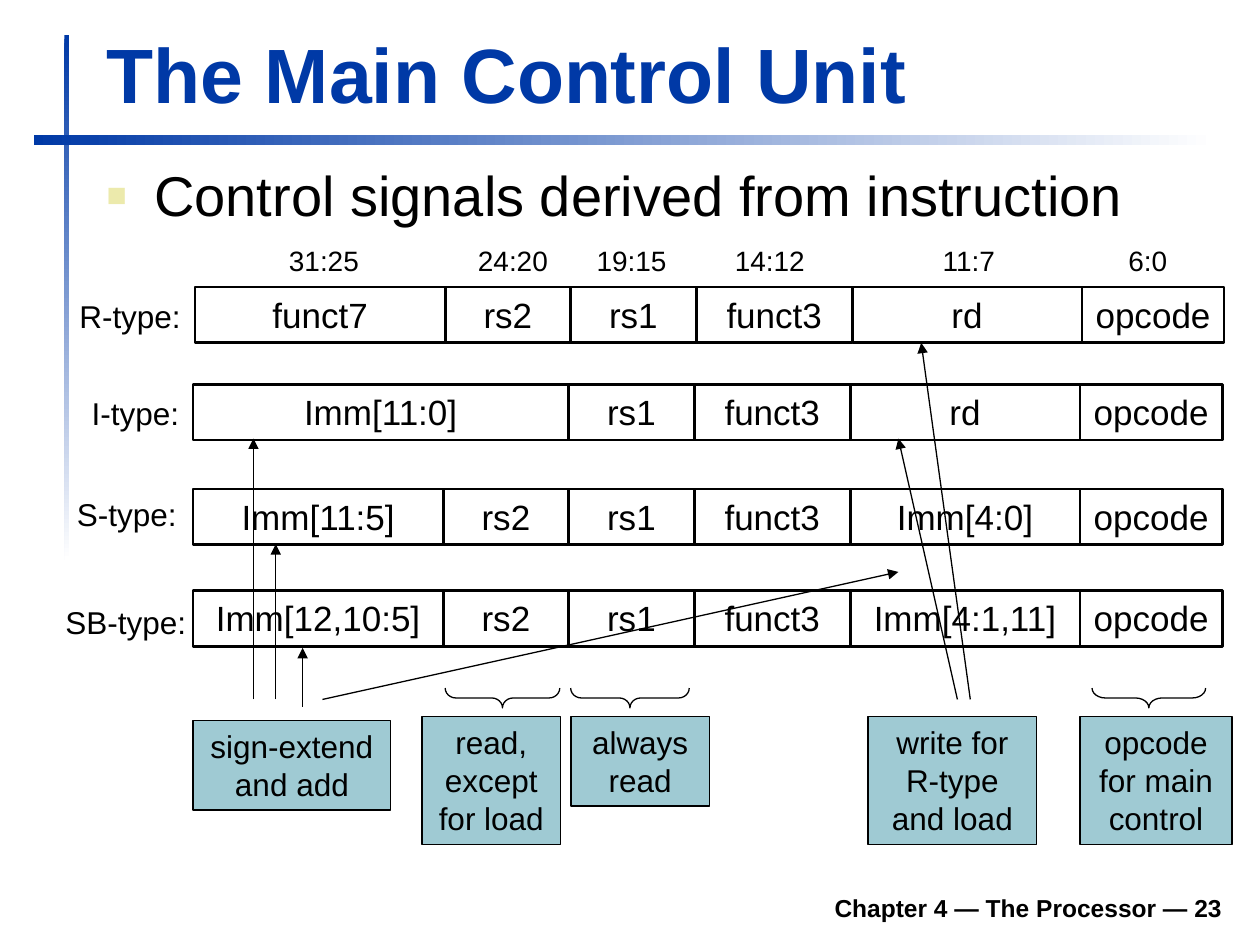
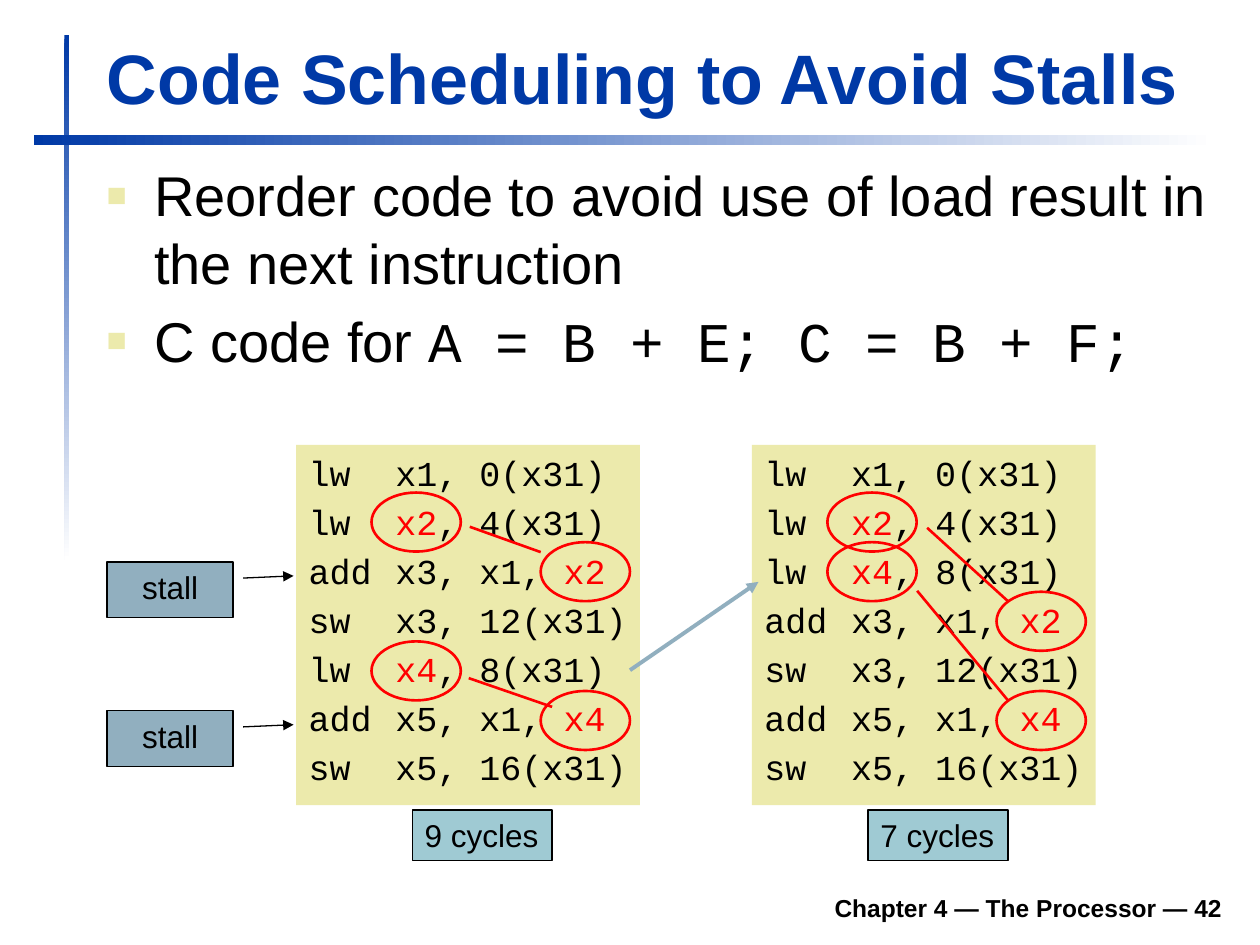
"""Build two lecture slides on processor control and code scheduling."""
from lxml.etree import SubElement
from pptx import Presentation
from pptx.dml.color import RGBColor
from pptx.enum.shapes import MSO_CONNECTOR, MSO_SHAPE
from pptx.enum.text import MSO_ANCHOR as Anchor, MSO_AUTO_SIZE, PP_ALIGN as Align
from pptx.oxml.ns import qn
from pptx.util import Cm, Pt

BLUE, BLACK, WHITE, RED = "0039A6", "000000", "FFFFFF", "FF0000"
SAND, TEAL, STEEL = "ECEAAC", "9FCAD3", "91AFBF"
rgb = RGBColor.from_string
arrowed = []


def add_box(slide, kind, at, paragraphs=(), fill=None, line=None, width=0.75,
            size=18, align=Align.CENTER, gap=0, accent=None, **frame_format):
    """Add a shape, or a text box if kind is None; *...* marks accented runs."""
    lengths = [Cm(value) for value in at]
    if kind is None:
        shape = slide.shapes.add_textbox(*lengths)
    else:
        shape = slide.shapes.add_shape(kind, *lengths)
        shape.shadow.inherit = False
    if fill:
        shape.fill.solid()
        shape.fill.fore_color.rgb = rgb(fill)
    else:
        shape.fill.background()
    if line:
        shape.line.color.rgb = rgb(line)
        shape.line.width = Pt(width)
    else:
        shape.line.fill.background()
    frame = shape.text_frame
    for name, value in {"word_wrap": True, "vertical_anchor": Anchor.TOP, **frame_format}.items():
        setattr(frame, name, value)
    for index, text in enumerate(paragraphs):
        paragraph = frame.add_paragraph() if index else frame.paragraphs[0]
        paragraph.alignment = align
        if index:
            paragraph.space_before = Pt(gap)
        for part, words in enumerate(text.split("*")):
            if not words:
                continue
            run = paragraph.add_run()
            run.text = words
            look = {"name": "Arial", "size": Pt(size), "color": BLACK}
            look.update(accent or {})
            if part % 2:
                look.update(look.pop("marked", {}))
            look.pop("marked", None)
            run.font.color.rgb = rgb(look.pop("color"))
            for name, value in look.items():
                setattr(run.font, name, value)
    return shape


def add_line(slide, start, end, color=BLACK, width=0.75, arrow=True):
    """Add a straight line, with an arrowhead at its end if wanted."""
    connector = slide.shapes.add_connector(
        MSO_CONNECTOR.STRAIGHT, *[Cm(value) for value in (*start, *end)])
    connector.line.color.rgb = rgb(color)
    connector.line.width = Pt(width)
    SubElement(connector.element.spPr, qn("a:effectLst"))
    if arrow:
        arrowed.append(connector)


presentation = Presentation()
presentation.slide_width, presentation.slide_height = Cm(25.4), Cm(19.05)

pages = [
    ("The Main Control Unit", 44, 23, 1.93, ["Control signals derived from instruction"]),
    ("Code Scheduling to Avoid Stalls", 40, 42, 5.13,
     ["Reorder code to avoid use of load result in the next instruction",
      "C code for *A = B + E; C = B + F;*"]),
]
for title_text, title_size, number, body_height, points in pages:
    slide = presentation.slides.add_slide(presentation.slide_layouts[5])
    for at, angle in [((1.3, 0.71, 0.1, 10.59), 270), ((0.69, 2.72, 23.8, 0.2), 0)]:
        band = add_box(slide, MSO_SHAPE.RECTANGLE, at)
        band.fill.gradient()
        band.fill.gradient_angle = angle
        for stop, color in zip(band.fill.gradient_stops, (BLUE, WHITE)):
            stop.color.rgb = rgb(color)

    title = slide.shapes.title
    for name, value in {"left": 1.9, "top": 0.41, "width": 22.94, "height": 2.11}.items():
        setattr(title, name, Cm(value))
    title.text_frame.text = title_text
    title.text_frame.auto_size = MSO_AUTO_SIZE.NONE
    title.text_frame.vertical_anchor = Anchor.BOTTOM
    paragraph = title.text_frame.paragraphs[0]
    paragraph.alignment = Align.LEFT
    for name, value in {"name": "Arial", "size": Pt(title_size), "bold": True}.items():
        setattr(paragraph.font, name, value)
    paragraph.font.color.rgb = rgb(BLUE)

    body = add_box(slide, None, (1.9, 3.12, 22.99, body_height), points, size=32, gap=6.4,
                   align=Align.LEFT, accent={"marked": {"name": "Courier New"}})
    for paragraph in body.text_frame.paragraphs:
        properties = paragraph._p.get_or_add_pPr()
        properties.set("marL", str(Cm(0.96)))
        properties.set("indent", str(Cm(-0.96)))
        SubElement(SubElement(properties, qn("a:buClr")), qn("a:srgbClr"), val=SAND)
        SubElement(properties, qn("a:buSzPct"), val="60000")
        SubElement(properties, qn("a:buFont"), typeface="Arial")
        SubElement(properties, qn("a:buChar"), char="■")

    add_box(slide, None, (2.39, 17.73, 22.5, 0.99), [f"Chapter 4 — The Processor — {number}"],
            size=14, align=Align.RIGHT, vertical_anchor=Anchor.BOTTOM, accent={"bold": True})

control, scheduling = presentation.slides

for bits, center in [("31:25", 6.53), ("24:20", 10.34), ("19:15", 12.73),
                     ("14:12", 15.52), ("11:7", 19.53), ("6:0", 23.14)]:
    add_box(control, None, (center - 0.97, 4.78, 1.94, 0.94), [bits], size=16, word_wrap=False)

field_edges = [3.89, 8.94, 11.46, 14, 17.14, 21.77, 24.64]
formats = [
    ("R-type:", 1.35, 5.87, 5.79, 0.04, ["funct7", "rs2", "rs1", "funct3", "rd", "opcode"]),
    ("I-type:", 1.6, 7.82, 7.75, 0, ["Imm[11:0]", "rs1", "funct3", "rd", "opcode"]),
    ("S-type:", 1.3, 9.86, 9.86, 0,
     ["Imm[11:5]", "rs2", "rs1", "funct3", "Imm[4:0]", "opcode"]),
    ("SB-type:", 1.07, 12.04, 11.91, 0,
     ["Imm[12,10:5]", "rs2", "rs1", "funct3", "Imm[4:1,11]", "opcode"]),
]
for label, label_left, label_top, top, shift, fields in formats:
    add_box(control, None, (label_left, label_top, 3.02, 1.02), [label], align=Align.LEFT)
    edges = field_edges if len(fields) == 6 else field_edges[:1] + field_edges[2:]
    for field, left, right in zip(fields, edges, edges[1:]):
        add_box(control, MSO_SHAPE.RECTANGLE, (left + shift, top, right - left, 1.12), [field],
                line=BLACK, width=1.5, size=20, word_wrap=False)

for center, span, curve in [(10.13, 2.31, 0.54), (12.7, 2.39, 0.54), (23.16, 2.29, 0.67)]:
    brace = add_box(control, MSO_SHAPE.LEFT_BRACE,
                    (center - 0.2, 14.07 - span / 2, 0.4, span), line=BLACK)
    brace.rotation = 270
    brace.adjustments[0] = curve

for left, top, width, height, note in [
        (3.89, 14.53, 3.99, 1.8, ["sign-extend and add"]),
        (8.51, 14.45, 2.79, 2.57, ["read, except for load"]),
        (11.51, 14.45, 2.79, 1.8, ["always read"]),
        (17.5, 14.45, 3.4, 2.57, ["write for R-type and load"]),
        (21.77, 14.45, 3.07, 2.57, ["opcode", "for main control"])]:
    add_box(control, MSO_SHAPE.RECTANGLE, (left, top, width, height), note,
            fill=TEAL, line=BLACK)

for start, end in [((19.3, 14.1), (18.11, 8.84)), ((19.56, 14.1), (18.57, 6.91)),
                   ((6.5, 14.1), (18.11, 11.53)), ((5.11, 14.1), (5.11, 8.84)),
                   ((5.56, 14.1), (5.56, 10.97)), ((6.1, 14.25), (6.1, 13.06))]:
    add_line(control, start, end)

programs = [
    (5.97, "9 cycles",
     ["lw\tx1, 0(x31)", "lw\t*x2*, 4(x31)", "add\tx3, x1, *x2*", "sw\tx3, 12(x31)",
      "lw\t*x4*, 8(x31)", "add\tx5, x1, *x4*", "sw\tx5, 16(x31)"],
     [((9.47, 10.62), (10.9, 11.13)), ((9.45, 13.67), (11.13, 14.25))]),
    (15.16, "7 cycles",
     ["lw\tx1, 0(x31)", "lw\t*x2*, 4(x31)", "lw\t*x4*, 8(x31)", "add\tx3, x1, *x2*",
      "sw\tx3, 12(x31)", "add\tx5, x1, *x4*", "sw\tx5, 16(x31)"],
     [((18.69, 10.64), (20.32, 12.12)), ((18.49, 11.91), (20.32, 14.12))]),
]
for left, cycles, code, dependencies in programs:
    listing = add_box(scheduling, MSO_SHAPE.RECTANGLE, (left, 8.97, 6.93, 7.26), code,
                      fill=SAND, size=20, gap=4, align=Align.LEFT, word_wrap=False,
                      accent={"name": "Courier New", "marked": {"color": RED}})
    for paragraph in listing.text_frame.paragraphs:
        tabs = SubElement(paragraph._p.get_or_add_pPr(), qn("a:tabLst"))
        SubElement(tabs, qn("a:tab"), pos=str(Cm(1.75)), algn="l")
    for row, instruction in enumerate(code):
        if "*" in instruction:
            offset = 1.52 if instruction.startswith("lw") else 4.93
            add_box(scheduling, MSO_SHAPE.OVAL, (left + offset, 8.93 + row, 1.8, 1.19),
                    line=RED, width=1.5)
    for start, end in dependencies:
        add_line(scheduling, start, end, RED, 1.5, arrow=False)
    add_box(scheduling, MSO_SHAPE.RECTANGLE, (left + 2.34, 16.33, 2.82, 1.02), [cycles],
            fill=TEAL, line=BLACK, align=Align.LEFT, word_wrap=False)

add_line(scheduling, (12.7, 13.51), (15.29, 11.73), STEEL, 2.25)

for top in (11.33, 14.33):
    stall = add_box(scheduling, MSO_SHAPE.LINE_CALLOUT_1, (2.16, top, 2.54, 1.12), ["stall"],
                    fill=STEEL, line=BLACK)
    for index, value in enumerate((0.29, 1.08, 0.25, 1.48)):
        stall.adjustments[index] = value
    arrowed.append(stall)

for shape in arrowed:
    SubElement(shape.element.spPr.find(qn("a:ln")), qn("a:tailEnd"), type="triangle")

presentation.save("out.pptx")
